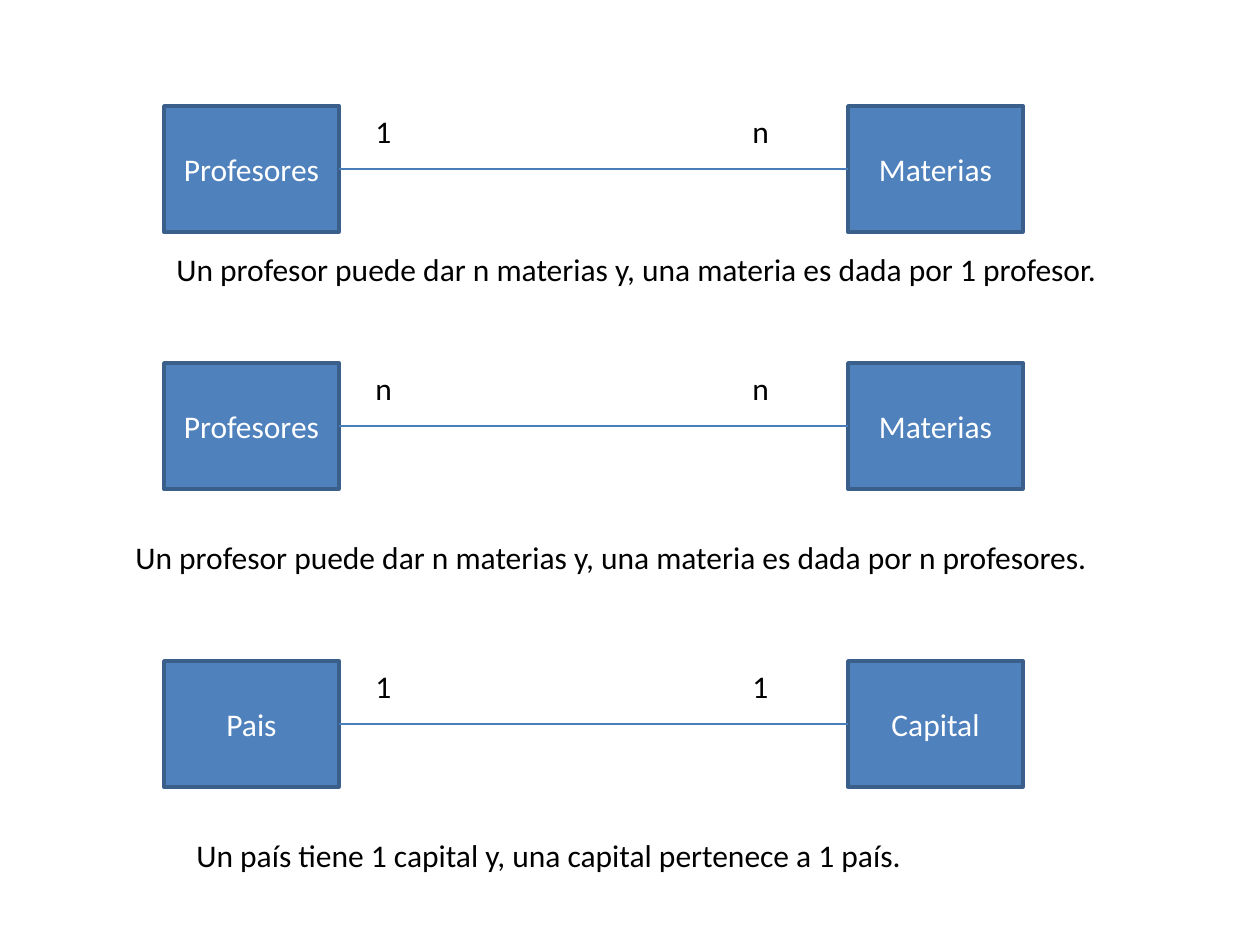
from pptx import Presentation
from pptx import util as u
from pptx.dml.color import RGBColor
from pptx.enum import shapes, text
from pptx.oxml.ns import qn
from lxml import etree

PX_PER_INCH = 126
BOX_WIDTH, BOX_HEIGHT = 175, 126
LEFT_BOX, RIGHT_BOX = 164, 848
LEFT_LABEL, RIGHT_LABEL = 363, 740
LABEL_WIDTH, TEXT_HEIGHT = 41, 50
RIGHT_SITE, LEFT_SITE = 3, 1

# top, (entity, cardinality) at each end, caption (left, top, width, wording)
RELATIONS = [
    (106, ("Profesores", "1"), ("Materias", "n"),
     (164, 244, 1022, "Un profesor puede dar n materias y, una materia es dada por 1 profesor.")),
    (363, ("Profesores", "n"), ("Materias", "n"),
     (123, 532, 1022, "Un profesor puede dar n materias y, una materia es dada por n profesores.")),
    (661, ("Pais", "1"), ("Capital", "1"),
     (184, 830, 774, "Un país tiene 1 capital y, una capital pertenece a 1 país.")),
]


def px(*lengths):
    return [u.Inches(length / PX_PER_INCH) for length in lengths]


def color(value):
    return RGBColor.from_string(value)


class DiagramSlide:
    font, size = "Calibri", 18
    box_fill, box_line, link_line = "4F81BD", "3A5F8B", "4A7EBB"
    box_text, plain_text = "FFFFFF", "000000"

    def __init__(self, slide):
        self.slide = slide

    def add_text(self, shape, wording, text_color):
        paragraph = shape.text_frame.paragraphs[0]
        run = paragraph.add_run()
        run.text = wording
        run.font.name = self.font
        run.font.size = u.Pt(self.size)
        run.font.color.rgb = color(text_color)
        return paragraph

    def entity(self, left, top, name):
        box = self.slide.shapes.add_shape(
            shapes.MSO_SHAPE.RECTANGLE, *px(left, top, BOX_WIDTH, BOX_HEIGHT))
        box.shadow.inherit = False
        box.fill.solid()
        box.fill.fore_color.rgb = color(self.box_fill)
        box.line.color.rgb = color(self.box_line)
        box.line.width = u.Pt(2)
        box.text_frame.vertical_anchor = text.MSO_ANCHOR.MIDDLE
        paragraph = self.add_text(box, name, self.box_text)
        paragraph.alignment = text.PP_ALIGN.CENTER
        return box

    def link(self, start, end):
        """Join the right side of one box to the left side of another."""
        connector = self.slide.shapes.add_connector(
            shapes.MSO_CONNECTOR.STRAIGHT, 0, 0, 0, 0)
        connector.begin_connect(start, RIGHT_SITE)
        connector.end_connect(end, LEFT_SITE)
        connector.line.color.rgb = color(self.link_line)
        connector.line.width = u.Pt(0.75)
        etree.SubElement(connector._element.spPr, qn("a:effectLst"))

    def text_box(self, left, top, width, wording, wrap=True):
        box = self.slide.shapes.add_textbox(*px(left, top, width, TEXT_HEIGHT))
        box.text_frame.word_wrap = wrap
        box.text_frame.auto_size = text.MSO_AUTO_SIZE.SHAPE_TO_FIT_TEXT
        self.add_text(box, wording, self.plain_text)

    def relation(self, top, start, end, caption):
        start_box = self.entity(LEFT_BOX, top, start[0])
        end_box = self.entity(RIGHT_BOX, top, end[0])
        self.link(start_box, end_box)
        self.text_box(LEFT_LABEL, top, LABEL_WIDTH, start[1], wrap=False)
        self.text_box(RIGHT_LABEL, top, LABEL_WIDTH, end[1], wrap=False)
        self.text_box(*caption)


def main():
    presentation = Presentation()
    presentation.slide_width, presentation.slide_height = px(1260, 945)
    blank_layout = presentation.slide_layouts[6]
    diagram = DiagramSlide(presentation.slides.add_slide(blank_layout))
    for relation in RELATIONS:
        diagram.relation(*relation)
    presentation.save("out.pptx")


if __name__ == "__main__":
    main()
